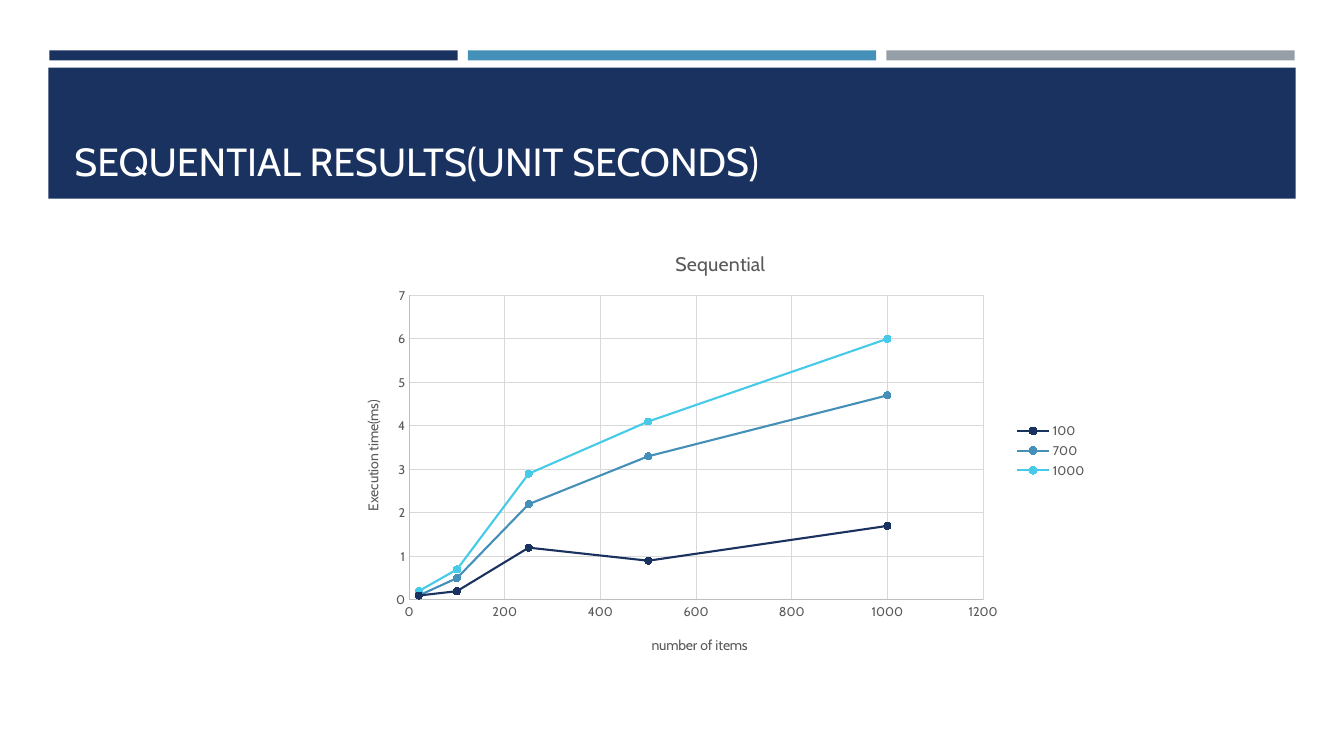
from pptx import Presentation
from pptx.chart.data import XyChartData
from pptx.dml.color import RGBColor
from pptx.enum.chart import XL_CHART_TYPE, XL_LEGEND_POSITION, XL_MARKER_STYLE, XL_TICK_MARK
from pptx.enum.shapes import MSO_SHAPE
from pptx.enum.text import MSO_ANCHOR
from pptx.oxml import parse_xml
from pptx.oxml.ns import nsdecls, qn
from pptx.util import Inches, Pt

RECTANGLE = MSO_SHAPE.RECTANGLE
SCATTER = XL_CHART_TYPE.XY_SCATTER_SMOOTH
LEGEND_RIGHT = XL_LEGEND_POSITION.RIGHT
CIRCLE = XL_MARKER_STYLE.CIRCLE
NO_TICK = XL_TICK_MARK.NONE
BOTTOM = MSO_ANCHOR.BOTTOM

FONT = "Cabin"
COLORS = {
    "navy": "1A3260", "blue": "4590B8", "cyan": "45CBE8", "gray": "969FA7",
    "white": "FFFFFF", "label": "595959", "axis": "BFBFBF", "grid": "D9D9D9",
}
ITEM_COUNTS = (20, 100, 250, 500, 1000)
SERIES = (
    ("100", "navy", (0.1, 0.2, 1.2, 0.9, 1.7)),
    ("700", "blue", (0.1, 0.5, 2.2, 3.3, 4.7)),
    ("1000", "cyan", (0.2, 0.7, 2.9, 4.1, 6.0)),
)


def color(name):
    """Return the named colour."""
    return RGBColor.from_string(COLORS[name])


def style_font(font, size, color_name):
    """Set typeface, size and colour of a font."""
    font.name, font.size, font.bold = FONT, Pt(size), False
    font.color.rgb = color(color_name)


def style_line(line, color_name, width):
    """Set colour and width of a line."""
    line.color.rgb = color(color_name)
    line.width = Pt(width)


def add_bar(slide, left, top, width, height, color_name):
    """Add a plain filled rectangle."""
    bar = slide.shapes.add_shape(
        RECTANGLE, Inches(left), Inches(top), Inches(width), Inches(height))
    bar.shadow.inherit = False
    bar.fill.solid()
    bar.fill.fore_color.rgb = color(color_name)
    bar.line.fill.background()


def add_heading(slide, text):
    """Add the heading on the navy band."""
    box = slide.shapes.add_textbox(Inches(0.64), Inches(0.77), Inches(12.06), Inches(1.11))
    frame = box.text_frame
    frame.word_wrap = True
    frame.vertical_anchor = BOTTOM
    frame.text = text
    style_font(frame.paragraphs[0].runs[0].font, 28, "white")


def set_layout(element, index, target="", **fractions):
    """Place a chart part by fractions of the chart area."""
    for old in element.findall(qn("c:layout")):
        element.remove(old)
    modes = "".join(f'<c:{axis}Mode val="edge"/>' for axis in "xy")
    sizes = "".join(f'<c:{key} val="{value}"/>' for key, value in fractions.items())
    element.insert(index, parse_xml(
        f'<c:layout {nsdecls("c")}><c:manualLayout>{target}{modes}{sizes}'
        "</c:manualLayout></c:layout>"))


def set_title(title, text, size, x, y):
    """Write and place a chart or axis title."""
    title.text_frame.text = text
    style_font(title.text_frame.paragraphs[0].runs[0].font, size, "label")
    set_layout(title._element, 1, x=x, y=y)


def style_axis(axis, maximum, step):
    """Set scale, labels, line and grid of an axis."""
    axis.minimum_scale, axis.maximum_scale, axis.major_unit = 0, maximum, step
    axis.major_tick_mark = axis.minor_tick_mark = NO_TICK
    axis.has_major_gridlines = True
    style_line(axis.major_gridlines.format.line, "grid", 0.75)
    style_line(axis.format.line, "axis", 0.75)
    style_font(axis.tick_labels.font, 9, "label")
    axis.tick_labels.number_format = "General"
    axis.tick_labels.number_format_is_linked = False


def style_series(series, color_name):
    """Draw a series as a smooth line with round markers."""
    series.smooth = True
    style_line(series.format.line, color_name, 1.5)
    marker = series.marker
    marker.style, marker.size = CIRCLE, 5
    marker.format.fill.solid()
    marker.format.fill.fore_color.rgb = color(color_name)
    style_line(marker.format.line, color_name, 0.75)


def add_timing_chart(slide):
    """Add the scatter chart of execution times."""
    data = XyChartData()
    for name, _, times in SERIES:
        points = data.add_series(name)
        for count, time in zip(ITEM_COUNTS, times):
            points.add_data_point(count, time)
    chart = slide.shapes.add_chart(
        SCATTER, Inches(3.35), Inches(2.27), Inches(7.53), Inches(4.4), data).chart
    chart.font.name, chart.font.size = FONT, Pt(10)

    style_axis(chart.category_axis, 1200, 200)
    style_axis(chart.value_axis, 7, 1)
    set_title(chart.chart_title, "Sequential", 14, 0.44, 0.04)
    set_title(chart.category_axis.axis_title, "number of items", 10, 0.41, 0.91)
    time_title = chart.value_axis.axis_title
    set_title(time_title, "Execution time(ms)", 10, 0.03, 0.38)
    time_title.text_frame._txBody.bodyPr.set("rot", "-5400000")

    plot = chart.plots[0]
    plot.vary_by_categories = False
    for series, (_, color_name, _) in zip(plot.series, SERIES):
        style_series(series, color_name)
    set_layout(chart._chartSpace.chart.plotArea, 0,
               '<c:layoutTarget val="inner"/>', x=0.094, y=0.15, w=0.756, h=0.687)

    chart.has_legend = True
    chart.legend.position = LEGEND_RIGHT
    chart.legend.include_in_layout = False
    style_font(chart.legend.font, 9, "label")


def main():
    """Build and save the slide."""
    deck = Presentation()
    deck.slide_width, deck.slide_height = Inches(13.33), Inches(7.5)
    slide = deck.slides.add_slide(deck.slide_layouts[6])
    for column, color_name in enumerate(("navy", "blue", "gray")):
        add_bar(slide, 0.49 + 4.15 * column, 0.5, 4.05, 0.1, color_name)
    add_bar(slide, 0.48, 0.67, 12.37, 1.3, "navy")
    add_heading(slide, "SEQUENTIAL RESULTS(UNIT SECONDS)")
    add_timing_chart(slide)
    deck.save("out.pptx")


main()
